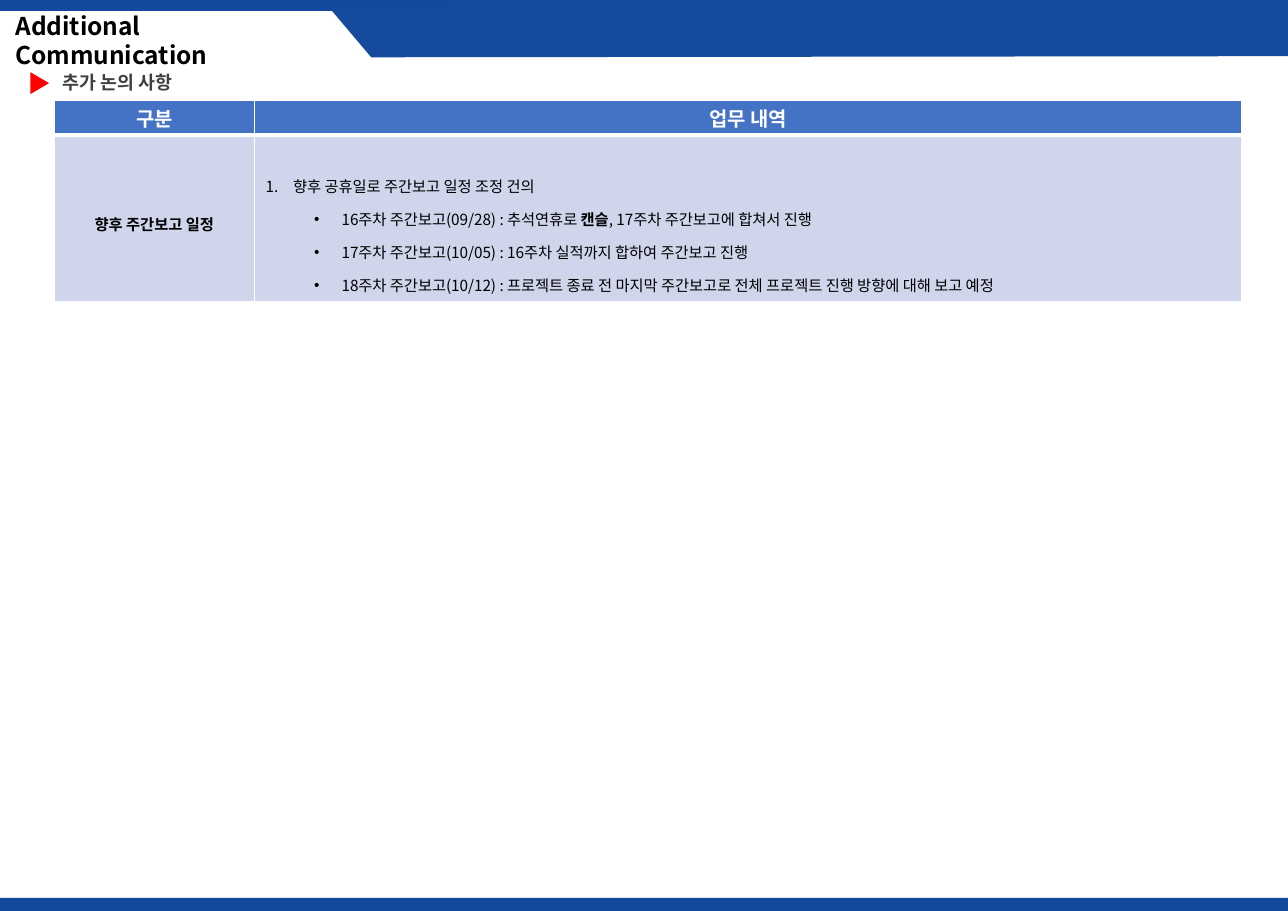
from lxml import etree
from pptx import Presentation
from pptx.dml.color import RGBColor
from pptx.enum.shapes import MSO_SHAPE
from pptx.enum.text import MSO_ANCHOR, PP_ALIGN
from pptx.oxml.ns import qn
from pptx.util import Pt

RECTANGLE = MSO_SHAPE.RECTANGLE
TRIANGLE = MSO_SHAPE.ISOSCELES_TRIANGLE
MIDDLE = MSO_ANCHOR.MIDDLE
BOTTOM = MSO_ANCHOR.BOTTOM
LEFT = PP_ALIGN.LEFT
CENTER = PP_ALIGN.CENTER

EMU_PER_PX = 9144
WIDTH, HEIGHT = 1169, 827
FONT = "Noto Sans CJK KR"
COLORS = {
    "banner": "154A9D",
    "bar": "134A9D",
    "marker": "FF0000",
    "header": "4472C4",
    "body": "CFD5EA",
    "heading": "404040",
    "black": "000000",
    "white": "FFFFFF",
}

HEADERS = ["구분", "업무 내역"]
TOPIC = "향후 주간보고 일정"
AGENDA = [
    (0, [("향후 공휴일로 주간보고 일정 조정 건의", False)]),
    (1, [("16주차 주간보고(09/28) : 추석연휴로 ", False), ("캔슬", True),
         (", 17주차 주간보고에 합쳐서 진행", False)]),
    (1, [("17주차 주간보고(10/05) : 16주차 실적까지 합하여 주간보고 진행", False)]),
    (1, [("18주차 주간보고(10/12) : 프로젝트 종료 전 마지막 주간보고로 "
          "전체 프로젝트 진행 방향에 대해 보고 예정", False)]),
]


def px(length):
    return length * EMU_PER_PX


def color(name):
    return RGBColor.from_string(COLORS[name])


class SlideBuilder:
    def __init__(self, slide, font):
        self.slide = slide
        self.font = font

    def paint(self, shape, fill):
        shape.shadow.inherit = False
        shape.fill.solid()
        shape.fill.fore_color.rgb = color(fill)
        shape.line.fill.background()

    def shape(self, kind, left, top, width, height, fill, rotation=0):
        shape = self.slide.shapes.add_shape(kind, px(left), px(top), px(width), px(height))
        shape.rotation = rotation
        self.paint(shape, fill)

    def outline(self, points, fill):
        builder = self.slide.shapes.build_freeform(*points[0], scale=EMU_PER_PX)
        builder.add_line_segments(points[1:], close=True)
        self.paint(builder.convert_to_shape(), fill)

    def style(self, run, size, ink, bold=True, latin=None):
        run.font.size = Pt(size)
        run.font.bold = bold
        run.font.color.rgb = color(ink)
        run.font.name = latin or self.font
        properties = run._r.get_or_add_rPr()
        etree.SubElement(properties, qn("a:ea"), typeface=self.font)

    def text(self, content, left, top, width, height, size, ink, latin=None, spacing=None):
        box = self.slide.shapes.add_textbox(px(left), px(top), px(width), px(height))
        frame = box.text_frame
        frame.word_wrap = True
        frame.vertical_anchor = MIDDLE
        frame.margin_left = frame.margin_right = px(11)
        frame.margin_top = frame.margin_bottom = px(6)
        frame.text = content
        paragraph = frame.paragraphs[0]
        paragraph.line_spacing = spacing
        self.style(paragraph.runs[0], size, ink, latin=latin)

    def table(self, left, top, columns, rows):
        frame = self.slide.shapes.add_table(
            len(rows), len(columns), px(left), px(top), px(sum(columns)), px(sum(rows)))
        table = frame.table
        table.first_row = table.horz_banding = False
        for column, width in zip(table.columns, columns):
            column.width = px(width)
        for row, height in zip(table.rows, rows):
            row.height = px(height)
        return table

    def cell(self, cell, fill, margin, borders, anchor=MIDDLE):
        properties = cell._tc.get_or_add_tcPr()
        for side, width in borders.items():
            line = etree.SubElement(properties, qn(f"a:ln{side}"), w=str(Pt(width)))
            solid = etree.SubElement(line, qn("a:solidFill"))
            etree.SubElement(solid, qn("a:srgbClr"), val=COLORS["white"])
        cell.fill.solid()
        cell.fill.fore_color.rgb = color(fill)
        cell.margin_top = cell.margin_bottom = px(margin)
        cell.vertical_anchor = anchor

    def label(self, cell, content, size, ink, spacing=None):
        cell.text_frame.text = content
        paragraph = cell.text_frame.paragraphs[0]
        paragraph.alignment = CENTER
        paragraph.line_spacing = spacing
        self.style(paragraph.runs[0], size, ink)

    def bullet(self, paragraph, level):
        properties = paragraph._p.get_or_add_pPr()
        properties.set("marL", str(px(69 if level else 25)))
        properties.set("indent", str(px(-25)))
        if level:
            etree.SubElement(properties, qn("a:buFont"), typeface="Arial")
            etree.SubElement(properties, qn("a:buChar"), char="•")
        else:
            etree.SubElement(properties, qn("a:buFont"), typeface=self.font)
            etree.SubElement(properties, qn("a:buAutoNum"), type="arabicPeriod")

    def agenda(self, cell, items):
        frame = cell.text_frame
        frame.text = "\n".join("" for _ in items)
        for paragraph, (level, pieces) in zip(frame.paragraphs, items):
            self.bullet(paragraph, level)
            paragraph.level = level
            paragraph.alignment = LEFT
            paragraph.line_spacing = 1.5
            for content, bold in pieces:
                run = paragraph.add_run()
                run.text = content
                self.style(run, 10, "black", bold)


def main():
    presentation = Presentation()
    presentation.slide_width = px(WIDTH)
    presentation.slide_height = px(HEIGHT)
    slide = presentation.slides.add_slide(presentation.slide_layouts[6])
    builder = SlideBuilder(slide, FONT)

    builder.shape(RECTANGLE, 0, 815, WIDTH, 12, "bar")
    builder.outline([(293, 0), (WIDTH, 0), (WIDTH, 51), (337, 52)], "banner")
    builder.shape(RECTANGLE, 0, 0, 409, 10, "bar")
    builder.text("Additional Communication", 3, 18, 315, 38, 16, "black", spacing=Pt(19))
    builder.text("추가 논의 사항", 46, 59, 989, 31, 12, "heading", latin="Arial")
    builder.shape(TRIANGLE, 26, 67, 20, 17, "marker", rotation=90)

    table = builder.table(49, 91, [182, 896], [32, 151])
    for column, header in enumerate(HEADERS):
        builder.cell(table.cell(0, column), "header", 3, {"L": 1, "R": 1, "T": 1, "B": 3})
        builder.label(table.cell(0, column), header, 13, "white")
    for column, anchor in enumerate([MIDDLE, BOTTOM]):
        builder.cell(table.cell(1, column), "body", 5, {"L": 1, "R": 1, "T": 3, "B": 1}, anchor)
    builder.label(table.cell(1, 0), TOPIC, 10, "black", spacing=1.5)
    builder.agenda(table.cell(1, 1), AGENDA)

    presentation.save("out.pptx")


if __name__ == "__main__":
    main()
